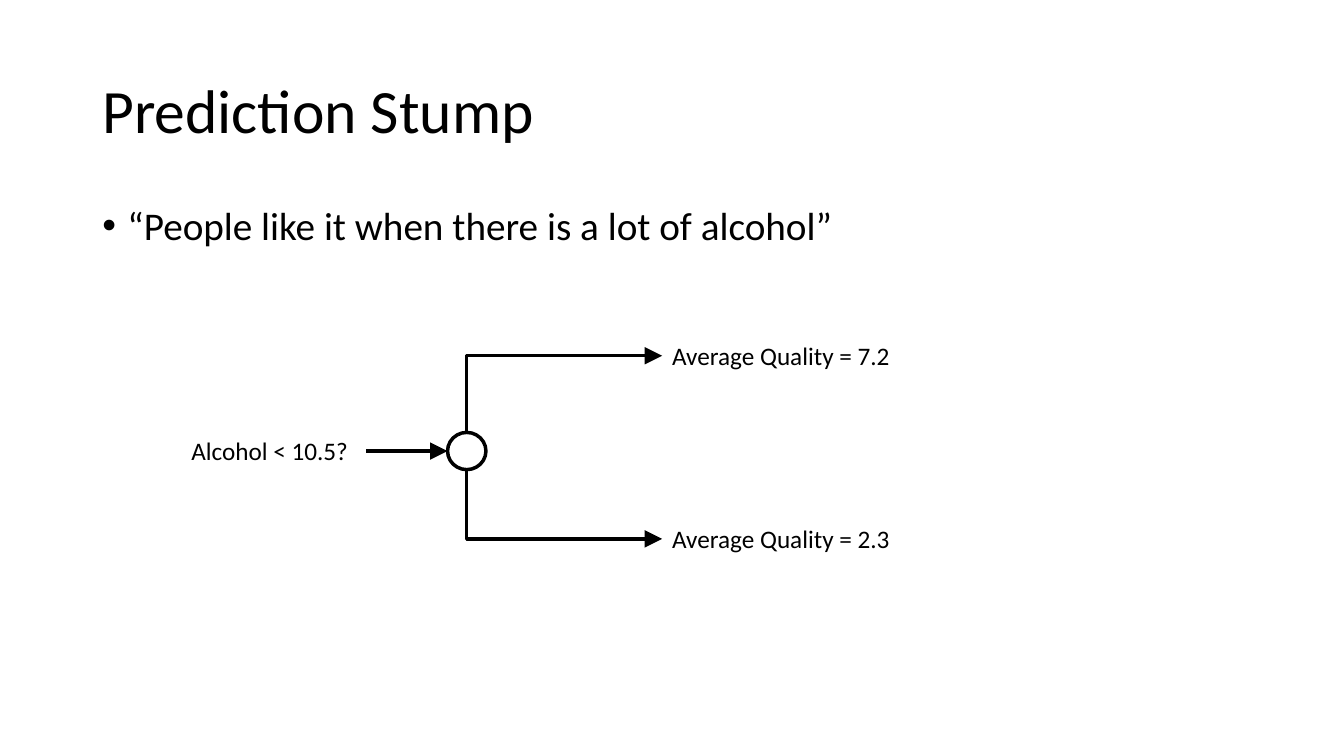
from pptx import Presentation
from pptx.dml.color import RGBColor
from pptx.enum import shapes, text
from pptx.oxml import ns
from pptx.util import Pt
from lxml import etree

FONT = "Calibri"
BLACK, WHITE = "000000", "FFFFFF"
LINE_WIDTH = 2.5


def rgb(value):
    """Turn a hex string into a colour."""
    return RGBColor.from_string(value)


def add_text(s, box, content, size, anchor=text.MSO_ANCHOR.TOP, wrap=True):
    """Add a one-paragraph text box and return it."""
    sp = s.shapes.add_textbox(*map(Pt, box))
    tf = sp.text_frame
    tf.text = content
    tf.word_wrap = wrap
    tf.vertical_anchor = anchor
    font = tf.paragraphs[0].runs[0].font
    font.name, font.size, font.color.rgb = FONT, Pt(size), rgb(BLACK)
    return sp


def add_arrow(s, tip, tail, bent=False):
    """Draw an arrow with its head at tip; a bent one has a single corner."""
    kind = shapes.MSO_CONNECTOR.ELBOW if bent else shapes.MSO_CONNECTOR.STRAIGHT
    cxn = s.shapes.add_connector(kind, *map(Pt, tip + tail))
    cxn.line.color.rgb = rgb(BLACK)
    cxn.line.width = Pt(LINE_WIDTH)
    spPr = cxn._element.spPr
    if bent:
        spPr.find(ns.qn("a:prstGeom")).set("prst", "bentConnector2")
    etree.SubElement(spPr.find(ns.qn("a:ln")), ns.qn("a:headEnd"),
                     type="triangle", w="lg", len="lg")
    etree.SubElement(spPr, ns.qn("a:effectLst"))


def add_title(s, box):
    """Place the slide title, centred vertically in its box."""
    sp = add_text(s, box, "Prediction Stump", 44, text.MSO_ANCHOR.MIDDLE)
    sp.text_frame.paragraphs[0].line_spacing = 0.9


def add_body(s, box):
    """Place the bulleted statement."""
    sp = add_text(s, box, "“People like it when there is a lot of alcohol”", 28)
    p = sp.text_frame.paragraphs[0]
    p.line_spacing = 0.9
    p.space_before = Pt(10)
    pPr = p._p.get_or_add_pPr()
    pPr.set("marL", str(Pt(18)))
    pPr.set("indent", str(-Pt(18)))
    etree.SubElement(pPr, ns.qn("a:buFont"), typeface="Arial")
    etree.SubElement(pPr, ns.qn("a:buChar"), char="•")


def add_stump(s, box):
    """Draw the question, the node and its two outcomes inside the box."""
    left, top, width, height = box
    label_h, node_w, node_h = 29, 27.4, 26.6
    outcome_w = 171.4
    outcome_x = left + width - outcome_w
    node_x, node_y = left + 190.1, top + 69.3
    mid_x, node_bottom = node_x + node_w / 2, node_y + node_h

    node = s.shapes.add_shape(shapes.MSO_SHAPE.OVAL,
                              *map(Pt, (node_x, node_y, node_w, node_h)))
    node.shadow.inherit = False
    node.fill.solid()
    node.fill.fore_color.rgb = rgb(WHITE)
    node.line.color.rgb = rgb(BLACK)
    node.line.width = Pt(LINE_WIDTH)

    outcomes = (("Average Quality = 7.2", top, node_y),
                ("Average Quality = 2.3", top + height - label_h, node_bottom))
    for content, y, node_edge in outcomes:
        add_text(s, (outcome_x, y, outcome_w, label_h), content, 18, wrap=False)
        add_arrow(s, (outcome_x, y + label_h / 2), (mid_x, node_edge), bent=True)

    question_w, node_mid = 132, node_y + node_h / 2
    add_text(s, (left, node_mid - label_h / 2, question_w, label_h),
             "Alcohol < 10.5?", 18, wrap=False)
    add_arrow(s, (node_x, node_mid), (left + question_w, node_mid))


def build_slide(prs):
    """Lay out the prediction stump slide."""
    s = prs.slides.add_slide(prs.slide_layouts[6])
    s.background.fill.solid()
    s.background.fill.fore_color.rgb = rgb(WHITE)
    add_title(s, (66, 29, 828, 104.4))
    add_body(s, (66, 144, 828, 342.7))
    add_stump(s, (129.6, 239.6, 514.8, 159.8))


prs = Presentation()
prs.slide_width, prs.slide_height = Pt(960), Pt(540)
build_slide(prs)
prs.save("out.pptx")
